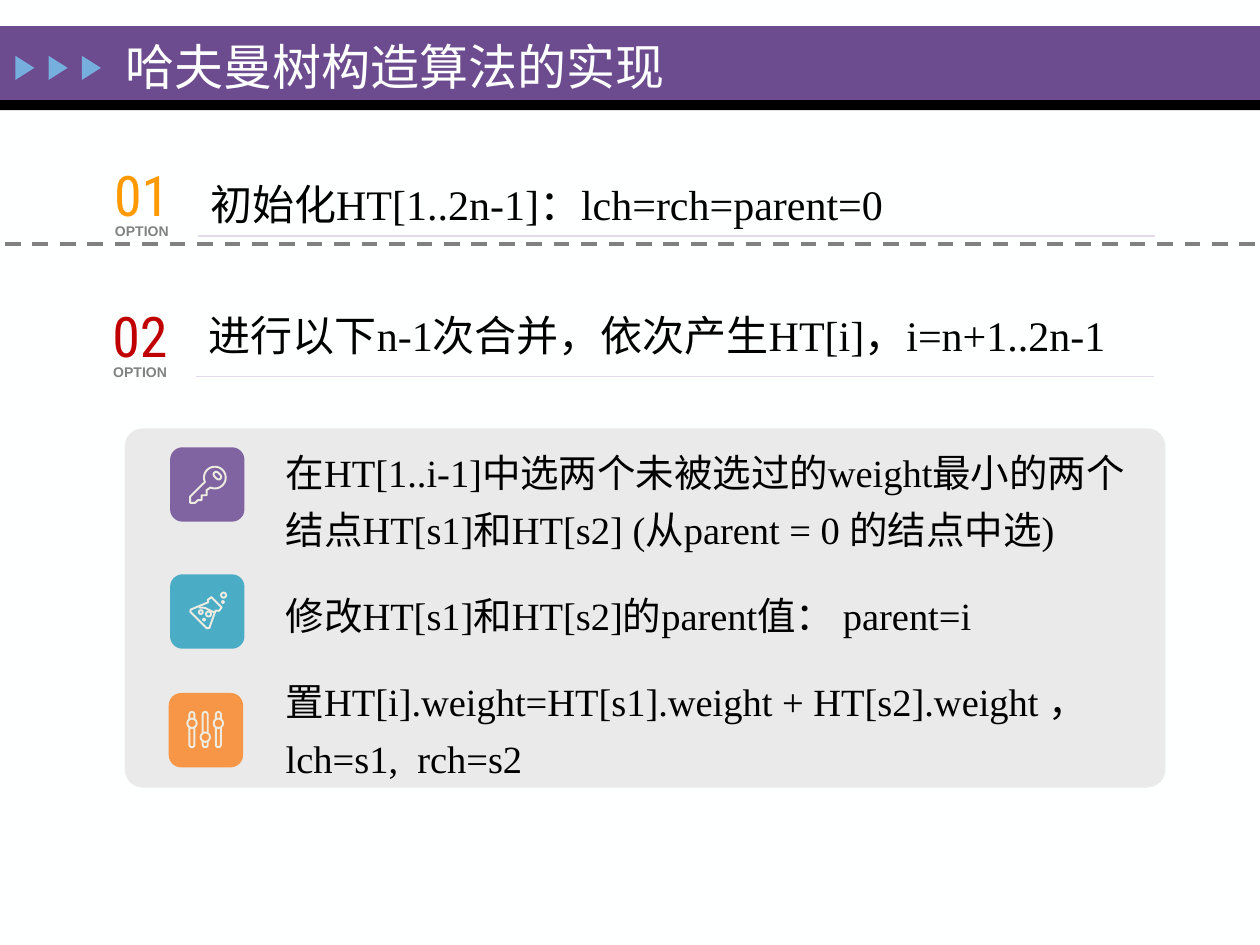
"""Build the slide on implementing the Huffman tree construction algorithm."""
from math import cos, radians, sin

from lxml.etree import SubElement
from pptx import Presentation
from pptx.dml.color import RGBColor
from pptx.enum.dml import MSO_LINE
from pptx.enum.shapes import MSO_CONNECTOR, MSO_SHAPE
from pptx.enum.text import MSO_ANCHOR
from pptx.oxml.ns import qn
from pptx.util import Pt

TITLE = "哈夫曼树构造算法的实现"
STEPS = [
    ("01", "FF9900", "初始化HT[1..2n-1]：lch=rch=parent=0", 65.2, 91.4, 113, 134.8),
    ("02", "C00000", "进行以下n-1次合并，依次产生HT[i]，i=n+1..2n-1", 64.2, 172, 112.2, 215.2),
]
MERGE_ACTIONS = [
    "在HT[1..i-1]中选两个未被选过的weight最小的两个结点HT[s1]和HT[s2] (从parent = 0 的结点中选)",
    "修改HT[s1]和HT[s2]的parent值： parent=i",
    "置HT[i].weight=HT[s1].weight + HT[s2].weight ，lch=s1,  rch=s2",
]
SERIF = "Times New Roman"
CREAM = "EEECE1"

KEY_BOW = [(25.6 + 6.2 * cos(radians(a)), 17.3 + 6.2 * sin(radians(a)))
           for a in range(114, -205, -6)]
KEY_BLADE = [(11.5, 28.1), (11.5, 31.7), (14.4, 31.7), (15.8, 30.2), (18, 30.2),
             (18, 27.4), (20.9, 27.4), (20.9, 24.5)]
FLASK = [(21.6, 14.6), (23.6, 13), (29.5, 18.9), (28, 20.9), (26, 20.7), (22.4, 30.8),
         (20.9, 30.8), (11.6, 21.5), (11.7, 20.2), (21.8, 16)]
LIQUID = [(16.4, 18.9), (20, 19.2), (25.2, 21.8)]
BUBBLES = [(22, 22.7, 2.9), (30.6, 11.9, 2.9), (17.6, 21.6, 2.2),
           (19.4, 25.9, 1), (30.2, 15.8, 1)]
SLIDERS = [(13.3, 17.3), (20.9, 25.2), (28.4, 17.3)]

ICONS = [
    {"left": 97.2, "top": 255.6, "color": "8064A2",
     "outlines": [(KEY_BLADE + KEY_BOW, True)],
     "pills": [(27, 16.2, 5, 3, 45)]},
    {"left": 97.2, "top": 328.2, "color": "4BACC6",
     "outlines": [(FLASK, True), (LIQUID, False)],
     "pills": [(x, y, d, d, 0) for x, y, d in BUBBLES]},
    {"left": 96.4, "top": 396, "color": "F79646",
     "outlines": [],
     "pills": [(x, 20.9, 2.9, 20.2, 0) for x, _ in SLIDERS]
     + [(x, y, 5.4, 5.4, 0) for x, y in SLIDERS]},
]


def rgb(color):
    return RGBColor.from_string(color)


def paint(shape, fill=None, line=None):
    shape.shadow.inherit = False
    if fill:
        shape.fill.solid()
        shape.fill.fore_color.rgb = rgb(fill)
    else:
        shape.fill.background()
    if line:
        shape.line.color.rgb = rgb(line)
        shape.line.width = Pt(1.1)
    else:
        shape.line.fill.background()


def add_block(slide, kind, box, fill, line=None, corner=None):
    block = slide.shapes.add_shape(kind, *map(Pt, box))
    paint(block, fill, line)
    if corner is not None:
        block.adjustments[0] = corner
    return block


def add_text(slide, box, lines, size, color, font=SERIF, bold=False, anchor=MSO_ANCHOR.TOP,
             spacing=None, gap=0, inset=True, wrap=True):
    frame = slide.shapes.add_textbox(*map(Pt, box)).text_frame
    frame.word_wrap = wrap
    frame.vertical_anchor = anchor
    if not inset:
        frame.margin_left = frame.margin_right = frame.margin_top = frame.margin_bottom = 0
    for index, line in enumerate(lines):
        paragraph = frame.add_paragraph() if index else frame.paragraphs[0]
        paragraph.text = line
        if spacing:
            paragraph.line_spacing = spacing
        if index:
            paragraph.space_before = Pt(gap)
        for run in paragraph.runs:
            run.font.size = Pt(size)
            run.font.name = font
            run.font.bold = bold
            run.font.color.rgb = rgb(color)


def add_rule(slide, left, right, y, color, width, dash=None):
    rule = slide.shapes.add_connector(MSO_CONNECTOR.STRAIGHT, Pt(left), Pt(y), Pt(right), Pt(y))
    rule.line.color.rgb = rgb(color)
    rule.line.width = Pt(width)
    if dash:
        rule.line.dash_style = dash
    SubElement(rule._element.spPr, qn("a:effectLst"))


def add_icon(slide, icon):
    left, top, color = icon["left"], icon["top"], icon["color"]
    add_block(slide, MSO_SHAPE.ROUNDED_RECTANGLE, (left, top, 42.5, 42.5), color)
    for points, closed in icon["outlines"]:
        start, *rest = [(Pt(left + x), Pt(top + y)) for x, y in points]
        builder = slide.shapes.build_freeform(*start)
        builder.add_line_segments(rest, close=closed)
        paint(builder.convert_to_shape(), line=CREAM)
    for x, y, width, height, angle in icon["pills"]:
        box = (left + x - width / 2, top + y - height / 2, width, height)
        pill = add_block(slide, MSO_SHAPE.ROUNDED_RECTANGLE, box, color, CREAM, 0.5)
        pill.rotation = angle


def main():
    deck = Presentation()
    deck.slide_width, deck.slide_height = Pt(720), Pt(540)
    slide = deck.slides.add_slide(deck.slide_layouts[6])
    slide.background.fill.solid()
    slide.background.fill.fore_color.rgb = rgb("FEFFFF")

    add_block(slide, MSO_SHAPE.RECTANGLE, (0, 15, 720, 42.5), "6C4C8F")
    add_block(slide, MSO_SHAPE.RECTANGLE, (0, 57.2, 720, 5.8), "000000")
    for index in range(3):
        arrow = add_block(slide, MSO_SHAPE.ISOSCELES_TRIANGLE,
                          (7.4 + 19 * index, 33.4, 13.7, 10.8), "76AEDD")
        arrow.rotation = 90
    add_text(slide, (64.8, 17.3, 518.4, 40.3), [TITLE], 28, "FEFFFF", anchor=MSO_ANCHOR.MIDDLE)

    add_block(slide, MSO_SHAPE.ROUNDED_RECTANGLE, (71.3, 244.8, 594.7, 205.2), "EAEAEA", corner=0.05)
    for number, color, step, number_left, number_top, step_left, rule_y in STEPS:
        add_text(slide, (number_left, number_top, 35.3, 38.9), [number], 32, color,
                 "Roboto Condensed", anchor=MSO_ANCHOR.MIDDLE, inset=False)
        add_text(slide, (number_left - 6.6, number_top + 32.2, 45.4, 17.3), ["OPTION"], 8,
                 "818181", "Arial", bold=True, wrap=False)
        step_top = 91.4 if number == "01" else 166.3
        add_text(slide, (step_left, step_top, 569.5, 49.3), [step], 24, "000000", spacing=1.25)
        add_rule(slide, step_left, step_left + 547.2, rule_y, "E2D9EB", 0.75)
    add_text(slide, (156.2, 246.2, 514.8, 202.3), MERGE_ACTIONS, 22, "000000",
             spacing=1.25, gap=16)
    for icon in ICONS:
        add_icon(slide, icon)
    add_rule(slide, 2.9, 722.9, 139.7, "808080", 2.25, MSO_LINE.DASH)
    deck.save("out.pptx")


if __name__ == "__main__":
    main()
